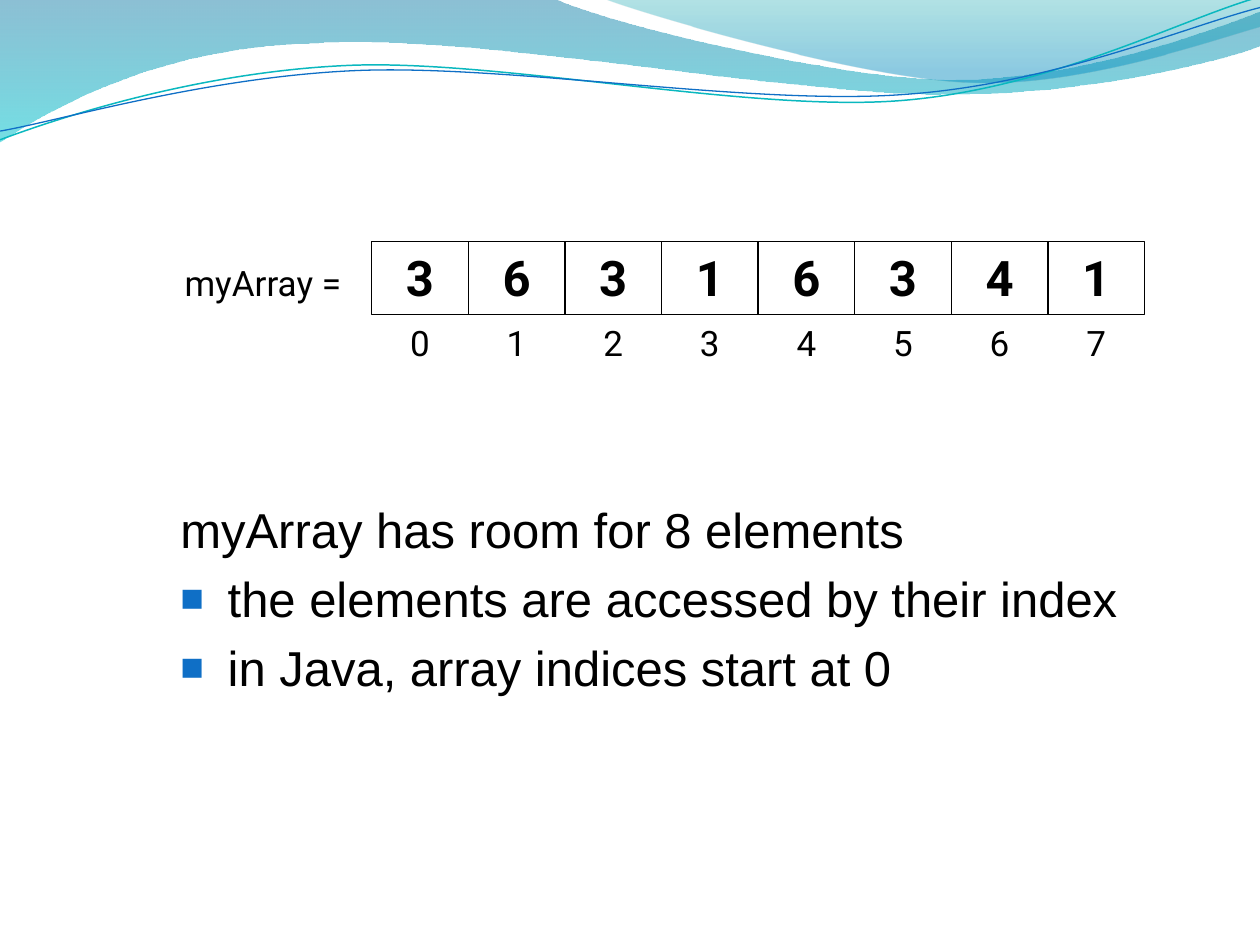
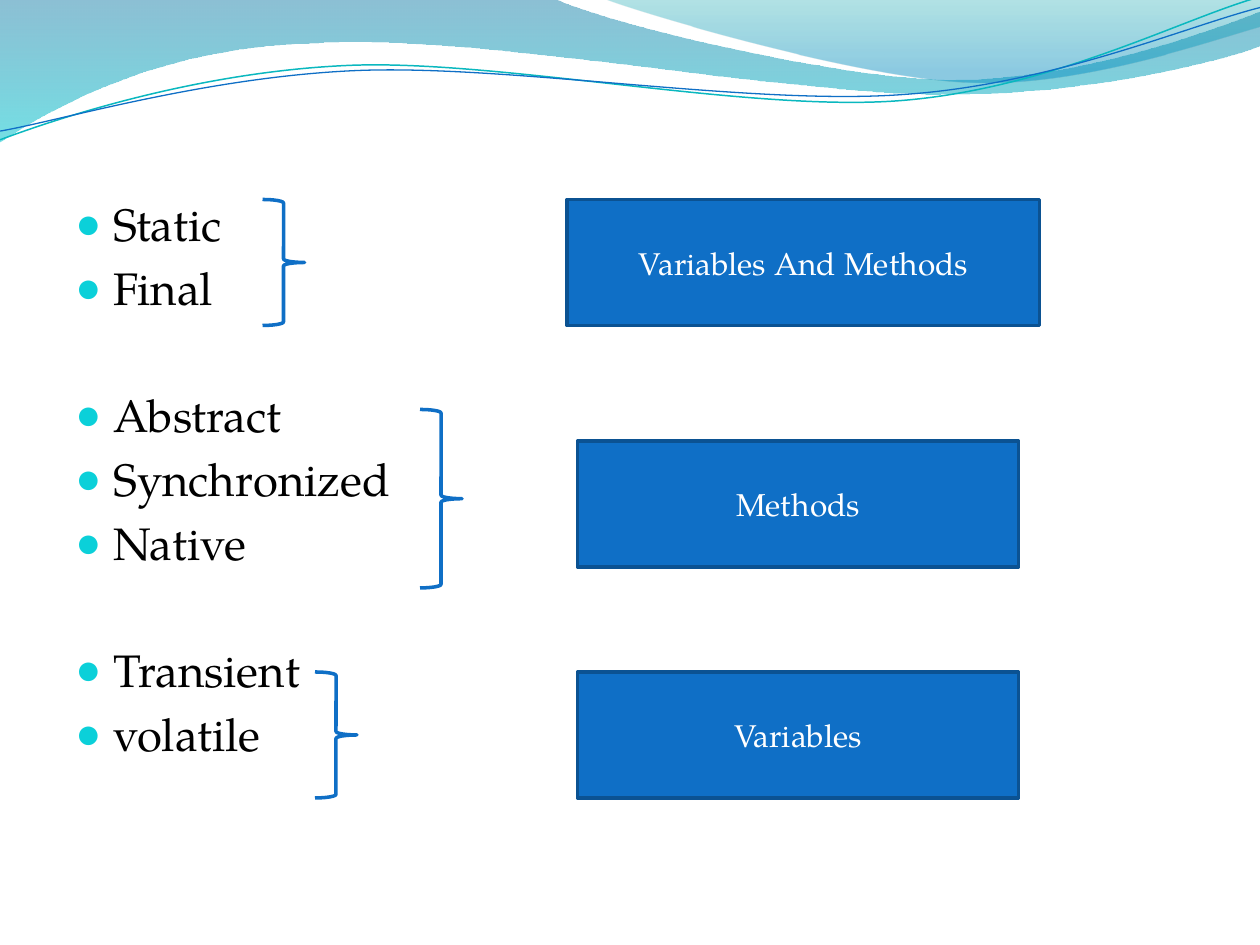
import pptx
import pptx.util
import pptx.dml.color
import pptx.enum.shapes
import pptx.enum.text
import pptx.oxml.ns
import lxml.etree

Pt = pptx.util.Pt
RGBColor = pptx.dml.color.RGBColor
SHAPES = pptx.enum.shapes.MSO_SHAPE
ANCHOR = pptx.enum.text.MSO_ANCHOR
ALIGN = pptx.enum.text.PP_ALIGN
qn = pptx.oxml.ns.qn

BLACK = RGBColor(0x00, 0x00, 0x00)
WHITE = RGBColor(0xFF, 0xFF, 0xFF)
BLUE = RGBColor(0x0F, 0x6F, 0xC6)
DARK_BLUE = RGBColor(0x0B, 0x52, 0x92)
AQUA = RGBColor(0x0B, 0xD0, 0xD9)
TEAL = RGBColor(0x0A, 0xB8, 0xBF)
BAND_TOP = RGBColor(0x00, 0x74, 0xA1)
BAND_BOTTOM = RGBColor(0x00, 0xC6, 0xCF)
SWOOSH_TOP = RGBColor(0x00, 0xA1, 0xA9)
SWOOSH_BOTTOM = RGBColor(0x00, 0x8B, 0xBF)

BAND = [
    [(0, 0)],
    [(316.8, -0.7)],
    [(342.7, 12.2), (478.1, 45.4), (545.8, 45.4)],
    [(614.2, 45.4), (689.8, 18.7), (720, 6.5)],
    [(720.7, 25.9)],
    [(707.8, 31.7), (626.4, 54.7), (537.1, 54)],
    [(447.8, 54), (275, 20.2), (185, 24.5)],
    [(92.9, 25.9), (33.1, 59.8), (-0.7, 81.4)],
]
SWOOSH = [
    [(344.9, -0.7)],
    [(366.5, 7.9), (491, 44.6), (553.7, 46.8)],
    [(616.3, 49.7), (691.9, 23), (720, 15.1)],
    [(720, 0)],
]
TEAL_WAVE = [
    [(0, 79.9)],
    [(34.6, 67), (113.8, 41), (199.4, 37.4)],
    [(284.4, 33.8), (427, 64.1), (513.4, 57.6)],
    [(599.8, 51.1), (675.4, 10.8), (718.6, -1.4)],
]
BLUE_WAVE = [
    [(0, 74.9)],
    [(33.8, 69.1), (118.1, 43.9), (203.8, 40.3)],
    [(290.2, 36.7), (429.8, 60.5), (516.2, 54)],
    [(601.9, 48.2), (677.5, 15.1), (720, 4.3)],
]
FILLED = [
    (BAND, [(0, BAND_TOP, 45), (1, BAND_BOTTOM, 55)]),
    (SWOOSH, [(0, SWOOSH_TOP, 30), (0.8, SWOOSH_BOTTOM, 45)]),
]
LINES = [(TEAL_WAVE, TEAL, 0.85), (BLUE_WAVE, BLUE, 0.75)]


def add_outline(page, segments, close):
    vertices = [(Pt(x), Pt(y)) for segment in segments for x, y in segment]
    builder = page.shapes.build_freeform(*vertices[0])
    builder.add_line_segments(vertices[1:], close=close)
    outline = builder.convert_to_shape()
    outline.shadow.inherit = False
    straight_lines = iter(list(outline._element.spPr.iter(qn("a:lnTo"))))
    for segment in segments[1:]:
        steps = [next(straight_lines) for _ in segment]
        if len(steps) == 3:
            curve = lxml.etree.Element(qn("a:cubicBezTo"))
            steps[0].addprevious(curve)
            for step in steps:
                curve.append(step[0])
                step.getparent().remove(step)
    return outline


def add_line_of_text(box, text, font, size, color, bold=False, align=ALIGN.LEFT,
                     bullet=None, indent=0):
    frame = box.text_frame
    frame.word_wrap = True
    para = frame.paragraphs[0]
    if para.runs:
        para = frame.add_paragraph()
    para.alignment = align
    if indent:
        properties = para._p.get_or_add_pPr()
        properties.set("marL", str(Pt(indent)))
        properties.set("indent", str(-Pt(indent)))
        if bullet:
            symbol, bullet_color, percent = bullet
            holder = lxml.etree.SubElement(properties, qn("a:buClr"))
            lxml.etree.SubElement(holder, qn("a:srgbClr")).set("val", str(bullet_color))
            lxml.etree.SubElement(properties, qn("a:buSzPct")).set("val", str(percent * 1000))
            lxml.etree.SubElement(properties, qn("a:buFont")).set("typeface", "Arial")
            lxml.etree.SubElement(properties, qn("a:buChar")).set("char", symbol)
    span = para.add_run()
    span.text = text
    span.font.name = font
    span.font.size = Pt(size)
    span.font.bold = bold
    span.font.color.rgb = color
    return para


deck = pptx.Presentation()
deck.slide_width = Pt(720)
deck.slide_height = Pt(540)
array_page, modifier_page = [deck.slides.add_slide(deck.slide_layouts[6]) for _ in range(2)]

for page in (array_page, modifier_page):
    for segments, stops in FILLED:
        ribbon = add_outline(page, segments, True)
        ribbon.line.fill.background()
        ribbon.fill.gradient()
        ribbon.fill.gradient_angle = 270
        for stop, (position, color, _) in zip(ribbon.fill.gradient_stops, stops):
            stop.position = position
            stop.color.rgb = color
        for element, (_, _, opacity) in zip(ribbon._element.spPr.iter(qn("a:srgbClr")), stops):
            lxml.etree.SubElement(element, qn("a:alpha")).set("val", str(opacity * 1000))
    for segments, color, width in LINES:
        wave = add_outline(page, segments, False)
        wave.fill.background()
        wave.line.color.rgb = color
        wave.line.width = Pt(width)

CELL_LEFT, CELL_TOP, CELL_WIDTH, CELL_HEIGHT = 212.4, 138, 55.2, 41.6
label = array_page.shapes.add_textbox(Pt(98.4), Pt(CELL_TOP), Pt(114), Pt(41))
label.text_frame.margin_top = Pt(11.3)
add_line_of_text(label, "myArray =", "Roboto", 20, BLACK)
for index, value in enumerate([3, 6, 3, 1, 6, 3, 4, 1]):
    left = Pt(CELL_LEFT + index * CELL_WIDTH)
    cell = array_page.shapes.add_shape(SHAPES.RECTANGLE, left, Pt(CELL_TOP),
                                       Pt(CELL_WIDTH), Pt(CELL_HEIGHT))
    cell.shadow.inherit = False
    cell.fill.background()
    cell.line.color.rgb = BLACK
    cell.line.width = Pt(0.75)
    cell.text_frame.vertical_anchor = ANCHOR.TOP
    add_line_of_text(cell, str(value), "Roboto", 28, BLACK, True, ALIGN.CENTER)
    index_box = array_page.shapes.add_textbox(left, Pt(180), Pt(CELL_WIDTH), Pt(31.5))
    add_line_of_text(index_box, str(index), "Roboto", 20, BLACK, align=ALIGN.CENTER)

notes = array_page.shapes.add_textbox(Pt(96), Pt(282), Pt(594), Pt(192))
SQUARE = ("■", BLUE, 80)
add_line_of_text(notes, "myArray has room for 8 elements", "Arial", 28, BLACK, indent=27)
for text in ["the elements are accessed by their index", "in Java, array indices start at 0"]:
    para = add_line_of_text(notes, text, "Arial", 28, BLACK, bullet=SQUARE, indent=27)
    para.space_before = Pt(5.6)

SERIF = "TeX Gyre Pagella"
DOT = ("●", AQUA, 95)
LINE_PITCH = 36.4
GROUPS = [
    (["Static", "Final"], (150, 114, 72), "Variables And Methods", (324, 114, 270)),
    (["Abstract", "Synchronized", "Native"], (240, 234, 102), "Methods", (330, 252, 252)),
    (["Transient", "volatile"], (180, 384, 72), "Variables", (330, 384, 252)),
]
modifiers = modifier_page.shapes.add_textbox(Pt(36), Pt(36), Pt(648), Pt(462))
modifiers.text_frame.margin_top = Pt(71)
for number, (words, brace_place, target, target_place) in enumerate(GROUPS):
    for position, word in enumerate(words):
        para = add_line_of_text(modifiers, word, SERIF, 26, BLACK, bullet=DOT, indent=21.6)
        para.line_spacing = Pt(LINE_PITCH)
        if number and position == 0:
            para.space_before = Pt(LINE_PITCH)

    left, top, height = brace_place
    brace = modifier_page.shapes.add_shape(SHAPES.RIGHT_BRACE, Pt(left), Pt(top), Pt(24), Pt(height))
    brace.shadow.inherit = False
    brace.fill.background()
    brace.line.color.rgb = BLUE
    brace.line.width = Pt(2)

    left, top, width = target_place
    panel = modifier_page.shapes.add_shape(SHAPES.RECTANGLE, Pt(left), Pt(top), Pt(width), Pt(72))
    panel.shadow.inherit = False
    panel.fill.solid()
    panel.fill.fore_color.rgb = BLUE
    panel.line.color.rgb = DARK_BLUE
    panel.line.width = Pt(2)
    panel.text_frame.vertical_anchor = ANCHOR.MIDDLE
    add_line_of_text(panel, target, SERIF, 18, WHITE, align=ALIGN.CENTER)

deck.save("out.pptx")
